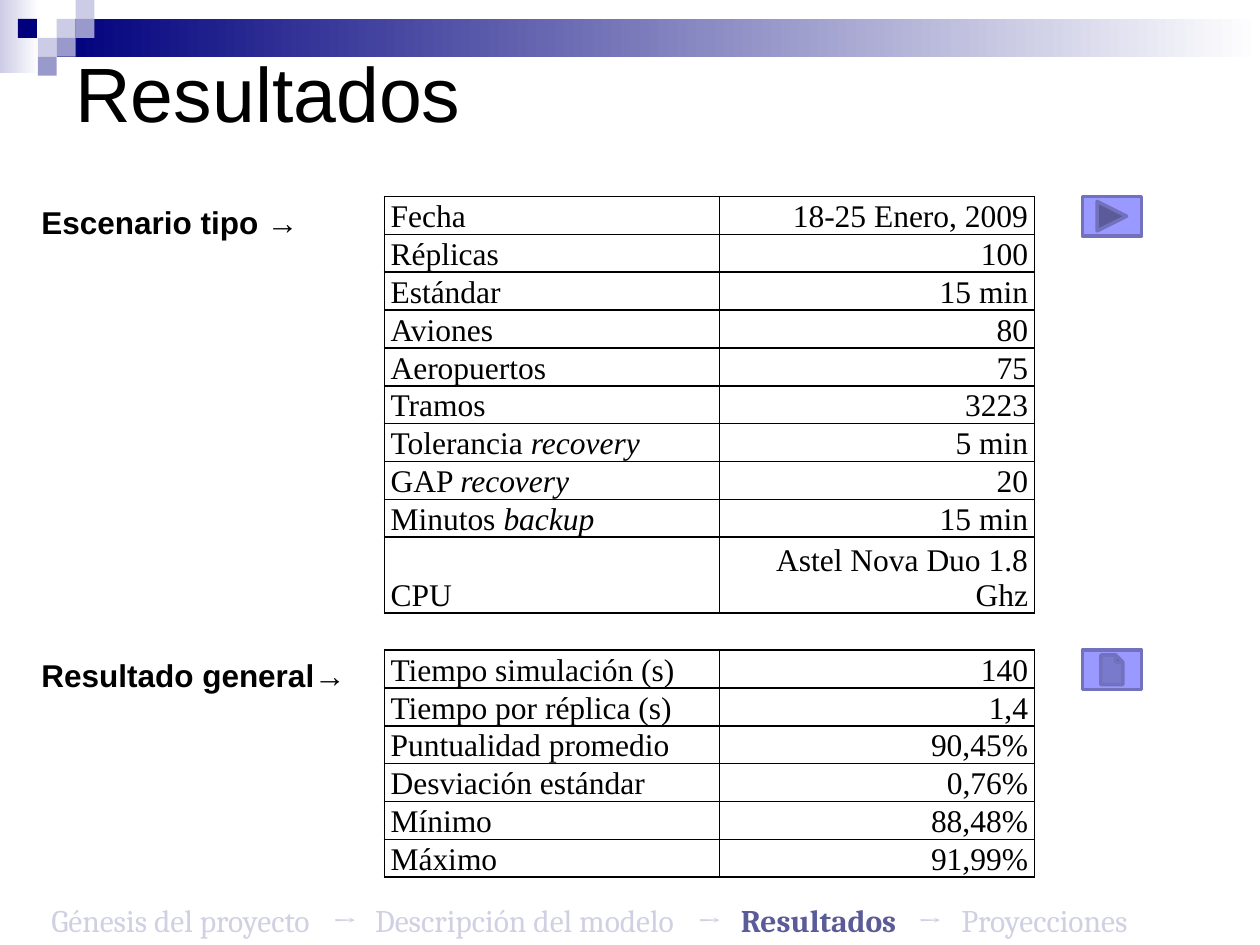
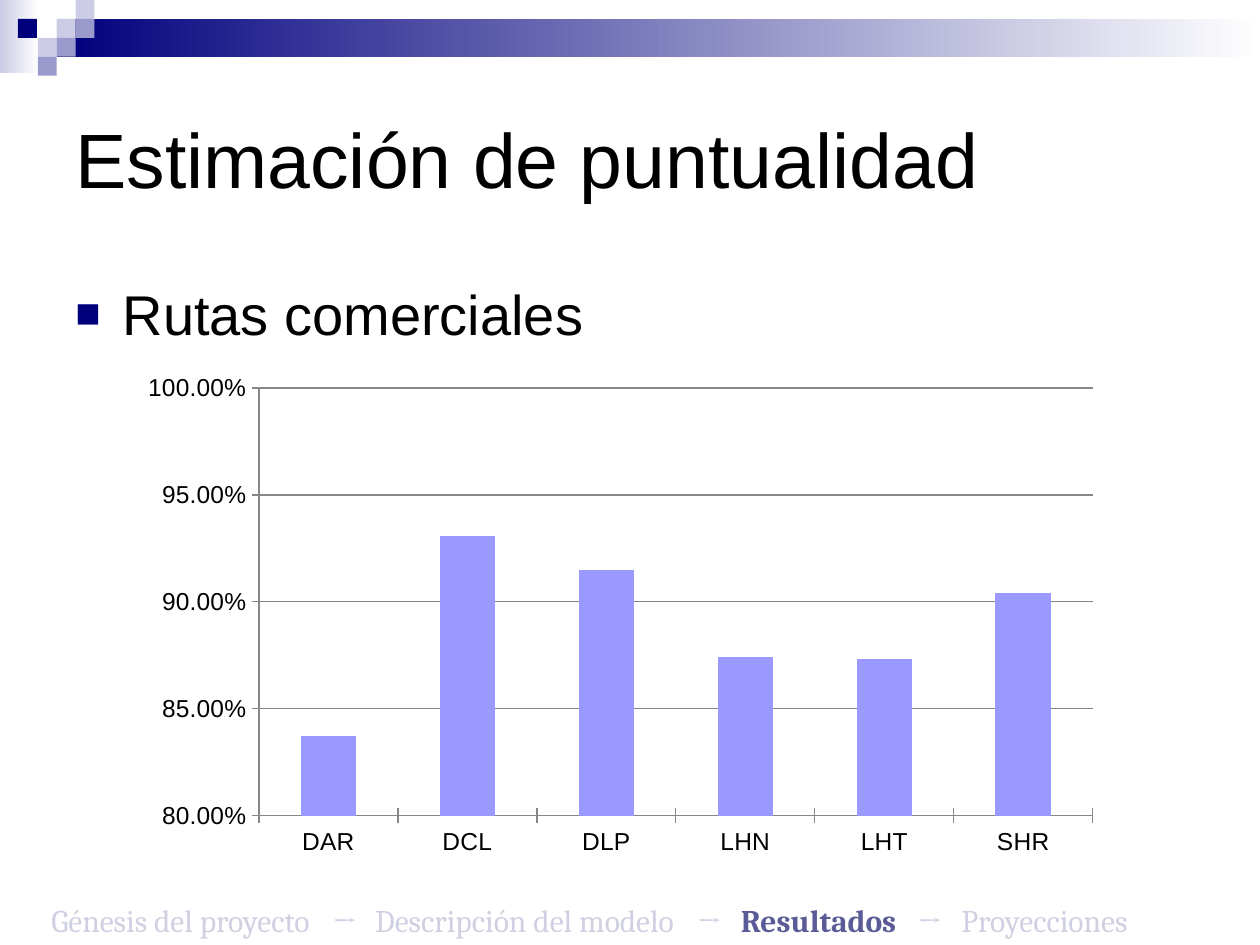
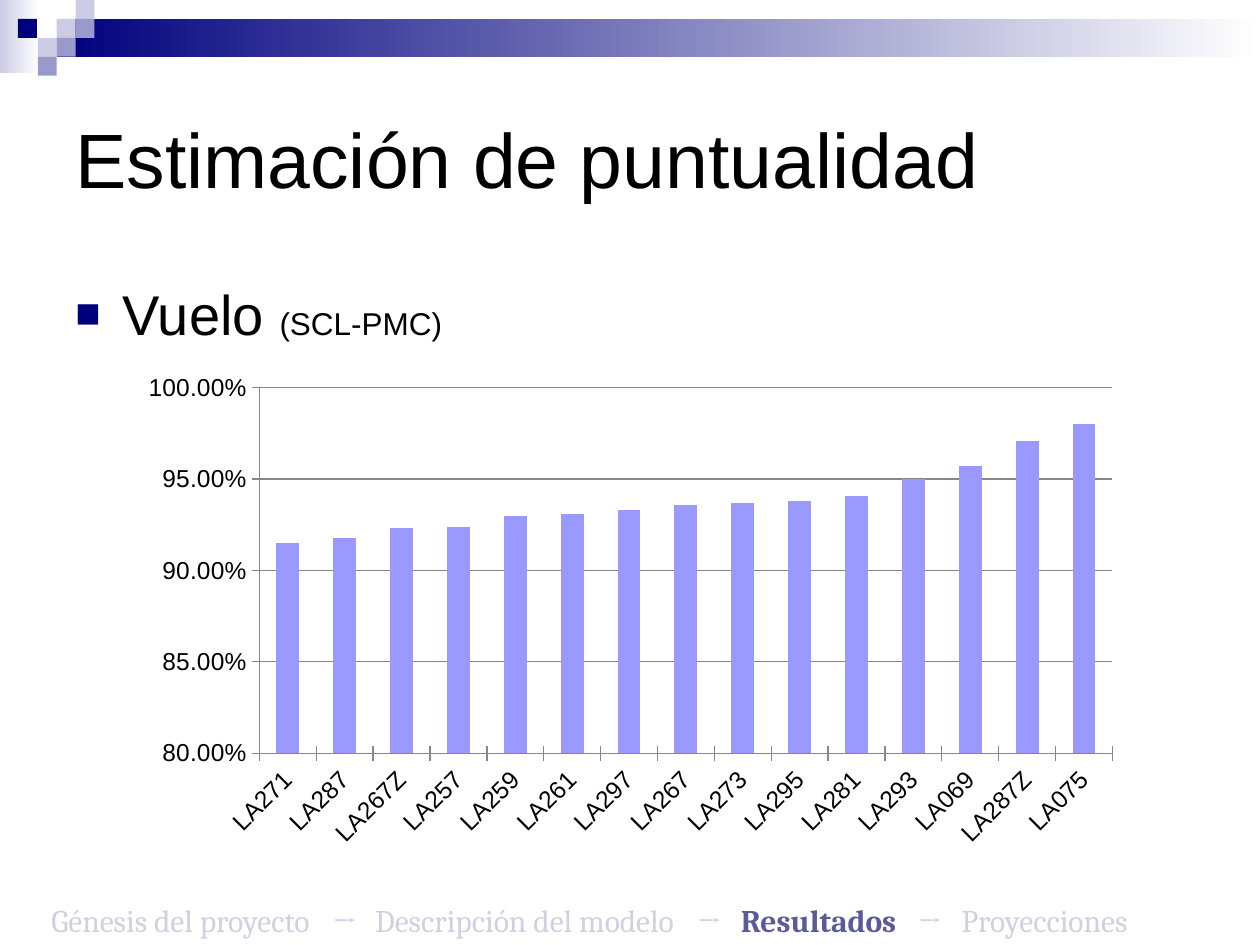
from lxml.etree import SubElement
from pptx import Presentation
from pptx.chart.data import CategoryChartData
from pptx.dml.color import RGBColor
from pptx.enum.chart import XL_CHART_TYPE, XL_TICK_MARK as TICK
from pptx.enum.shapes import MSO_SHAPE as SHAPE
from pptx.enum.text import MSO_ANCHOR as ANCHOR, PP_ALIGN as ALIGN
from pptx.oxml import parse_xml
from pptx.oxml.ns import nsdecls, qn
from pptx.util import Pt

# Shared style
BLACK = RGBColor(0x00, 0x00, 0x00)
WHITE = RGBColor(0xFF, 0xFF, 0xFF)
NAVY = RGBColor(0x00, 0x00, 0x7D)
PALE = RGBColor(0xCC, 0xCC, 0xE6)
LILAC = RGBColor(0x99, 0x99, 0xCC)
BAR = RGBColor(0x99, 0x99, 0xFF)
EDGE = RGBColor(0x71, 0x71, 0xBD)
MUTED = RGBColor(0xD0, 0xD0, 0xE3)
ACTIVE = RGBColor(0x5B, 0x5B, 0x98)
GRID = RGBColor(0x87, 0x87, 0x87)
SANS, SERIF, FOOT = "Arial", "Times New Roman", "Cambria"

SLIDE_W, SLIDE_H = 720, 540
UNIT = 10.8  # side of one square in the corner mosaic
SQUARES = [(3, 1, PALE), (4, 0, PALE), (4, 1, LILAC), (2, 2, PALE),
           (0.95, 1, NAVY), (3, 2, LILAC), (2, 3, LILAC)]  # column, row, colour

# Content
STEPS = ["Génesis del proyecto", "Descripción del modelo", "Resultados", "Proyecciones"]
CURRENT_STEP = "Resultados"
STEP_TABS = [160.5, 185, 369, 394, 495, 520]  # arrow, step, arrow, step ...

# Each block: label, top, button, rows of (name, italic ending, value)
BLOCKS = [
    ("Escenario tipo →", 112.3, SHAPE.ACTION_BUTTON_FORWARD_OR_NEXT, [
        ("Fecha", "", "18-25 Enero, 2009"),
        ("Réplicas", "", "100"),
        ("Estándar", "", "15 min"),
        ("Aviones", "", "80"),
        ("Aeropuertos", "", "75"),
        ("Tramos", "", "3223"),
        ("Tolerancia ", "recovery", "5 min"),
        ("GAP ", "recovery", "20"),
        ("Minutos ", "backup", "15 min"),
        ("CPU", "", "Astel Nova Duo 1.8 Ghz"),
    ]),
    ("Resultado general→", 371.5, SHAPE.ACTION_BUTTON_DOCUMENT, [
        ("Tiempo simulación (s)", "", "140"),
        ("Tiempo por réplica (s)", "", "1,4"),
        ("Puntualidad promedio", "", "90,45%"),
        ("Desviación estándar", "", "0,76%"),
        ("Mínimo", "", "88,48%"),
        ("Máximo", "", "91,99%"),
    ]),
]
TABLE_X, COLUMNS, ROW_H = 219.6, (191.5, 180), 19.9

# Each chart slide: bullet runs (text, size), chart size, values
CHARTS = [
    ([("Rutas comerciales", 32)], (562.3, 286.6),
     {"DAR": 0.837, "DCL": 0.931, "DLP": 0.915, "LHN": 0.874, "LHT": 0.873, "SHR": 0.904}),
    ([("Vuelo ", 32), ("(SCL-PMC)", 18)], (573.8, 281.5),
     {"LA271": 0.915, "LA287": 0.918, "LA267Z": 0.923, "LA257": 0.924, "LA259": 0.93,
      "LA261": 0.931, "LA297": 0.933, "LA267": 0.936, "LA273": 0.937, "LA295": 0.938,
      "LA281": 0.941, "LA293": 0.95, "LA069": 0.957, "LA287Z": 0.971, "LA075": 0.98}),
]


def add_run(p, text, size, font, color=BLACK, bold=False, italic=False):
    r = p.add_run()
    r.text = text
    f = r.font
    f.size, f.name, f.bold, f.italic = Pt(size), font, bold, italic
    f.color.rgb = color


def add_text(slide, x, y, w, h, anchor=ANCHOR.TOP):
    tf = slide.shapes.add_textbox(Pt(x), Pt(y), Pt(w), Pt(h)).text_frame
    tf.word_wrap = True
    tf.vertical_anchor = anchor
    return tf.paragraphs[0]


def add_box(slide, x, y, w, h, color, kind=SHAPE.RECTANGLE, fade=False):
    sp = slide.shapes.add_shape(kind, Pt(x), Pt(y), Pt(w), Pt(h))
    sp.shadow.inherit = False
    sp.line.fill.background()
    if fade:
        sp.fill.gradient()
        sp.fill.gradient_angle = 0
        for stop, position, c in zip(sp.fill.gradient_stops, (0, 1), (color, WHITE)):
            stop.position, stop.color.rgb = position, c
    else:
        sp.fill.solid()
        sp.fill.fore_color.rgb = color
    return sp


def add_slide(title, title_y):
    slide = prs.slides.add_slide(prs.slide_layouts[6])
    # Top band and mosaic
    add_box(slide, 0, 0, 22.3, 41.8, PALE, fade=True)
    add_box(slide, 3 * UNIT, UNIT, SLIDE_W - 3 * UNIT, 2 * UNIT, NAVY, fade=True)
    for col, row, color in SQUARES:
        add_box(slide, col * UNIT, row * UNIT, UNIT, UNIT, color)
    # Title
    add_run(add_text(slide, 36, title_y, 648, 108, ANCHOR.MIDDLE), title, 44, SANS)
    # Footer with the steps of the talk
    p = add_text(slide, 22.3, 511.2, 690.5, 28.8)
    tabs = SubElement(p._p.get_or_add_pPr(), qn("a:tabLst"))
    for pos in STEP_TABS:
        SubElement(tabs, qn("a:tab"), pos=str(Pt(pos)), algn="l")
    for i, step in enumerate(STEPS):
        if i:
            add_run(p, "\t→\t", 18, FOOT, MUTED)
        now = step == CURRENT_STEP
        add_run(p, step, 18, FOOT, ACTIVE if now else MUTED, bold=now)
    return slide


def style_cell(cell):
    cell.margin_left = cell.margin_right = Pt(3.6)
    cell.margin_top = cell.margin_bottom = 0
    cell.vertical_anchor = ANCHOR.BOTTOM
    cell.fill.background()
    for i, side in enumerate("LRTB"):
        cell._tc.get_or_add_tcPr().insert(i, parse_xml(
            f'<a:ln{side} {nsdecls("a")} w="{Pt(1)}"><a:solidFill>'
            f'<a:srgbClr val="{BLACK}"/></a:solidFill></a:ln{side}>'))


def add_grid(slide, y, rows):
    table = slide.shapes.add_table(len(rows), 2, Pt(TABLE_X), Pt(y), Pt(sum(COLUMNS)),
                                   Pt(ROW_H * len(rows))).table
    table.first_row = table.horz_banding = False
    for col, w in zip(table.columns, COLUMNS):
        col.width = Pt(w)
    for i, (name, ending, value) in enumerate(rows):
        table.rows[i].height = Pt(ROW_H)
        left, right = table.cell(i, 0), table.cell(i, 1)
        style_cell(left)
        style_cell(right)
        p = left.text_frame.paragraphs[0]
        add_run(p, name, 18, SERIF)
        if ending:
            add_run(p, ending, 18, SERIF, italic=True)
        p = right.text_frame.paragraphs[0]
        p.alignment = ALIGN.RIGHT
        add_run(p, value, 18, SERIF)


def add_bullet(slide, runs):
    p = add_text(slide, 36, 156.2, 648, 306)
    p.space_before = Pt(6.4)
    pPr = p._p.get_or_add_pPr()
    pPr.set("marL", str(Pt(27)))
    pPr.set("indent", str(-Pt(27)))
    SubElement(SubElement(pPr, qn("a:buClr")), qn("a:srgbClr"), val=str(NAVY))
    SubElement(pPr, qn("a:buSzPct"), val="75000")
    SubElement(pPr, qn("a:buFont"), typeface=SANS)
    SubElement(pPr, qn("a:buChar"), char="■")
    for text, size in runs:
        add_run(p, text, size, SANS)


def add_columns(slide, size, values):
    data = CategoryChartData(number_format="0.00%")
    data.categories = list(values)
    data.add_series("Series 1", list(values.values()))
    chart = slide.shapes.add_chart(XL_CHART_TYPE.COLUMN_CLUSTERED, Pt(73.4), Pt(208.1),
                                   Pt(size[0]), Pt(size[1]), data).chart
    chart.has_legend = chart.has_title = False
    chart.font.size, chart.font.name = Pt(14), SANS
    chart.font.color.rgb = BLACK
    plot = chart.plots[0]
    plot.gap_width, plot.vary_by_categories = 150, False
    fill = plot.series[0].format.fill
    fill.solid()
    fill.fore_color.rgb = BAR
    val = chart.value_axis
    val.minimum_scale, val.maximum_scale, val.major_unit = 0.8, 1, 0.05
    val.has_major_gridlines = True
    val.tick_labels.number_format = "0.00%"
    val.tick_labels.number_format_is_linked = False
    for axis in (val, chart.category_axis):
        axis.major_tick_mark = TICK.CROSS
    for part in (val, chart.category_axis, val.major_gridlines):
        part.format.line.color.rgb = GRID
        part.format.line.width = Pt(0.75)


prs = Presentation()
prs.slide_width, prs.slide_height = Pt(SLIDE_W), Pt(SLIDE_H)

# Results tables
slide = add_slide("Resultados", -1.4)
for label, y, button, rows in BLOCKS:
    add_grid(slide, y, rows)
    add_run(add_text(slide, 16.6, y, 202.3, 28.8), label, 18, SANS, bold=True)
    sp = add_box(slide, 618.5, y, 33.8, 22.5, BAR, button)
    sp.line.color.rgb, sp.line.width = EDGE, Pt(2)

# Punctuality charts
for runs, size, values in CHARTS:
    slide = add_slide("Estimación de puntualidad", 36)
    add_bullet(slide, runs)
    add_columns(slide, size, values)

prs.save("out.pptx")
